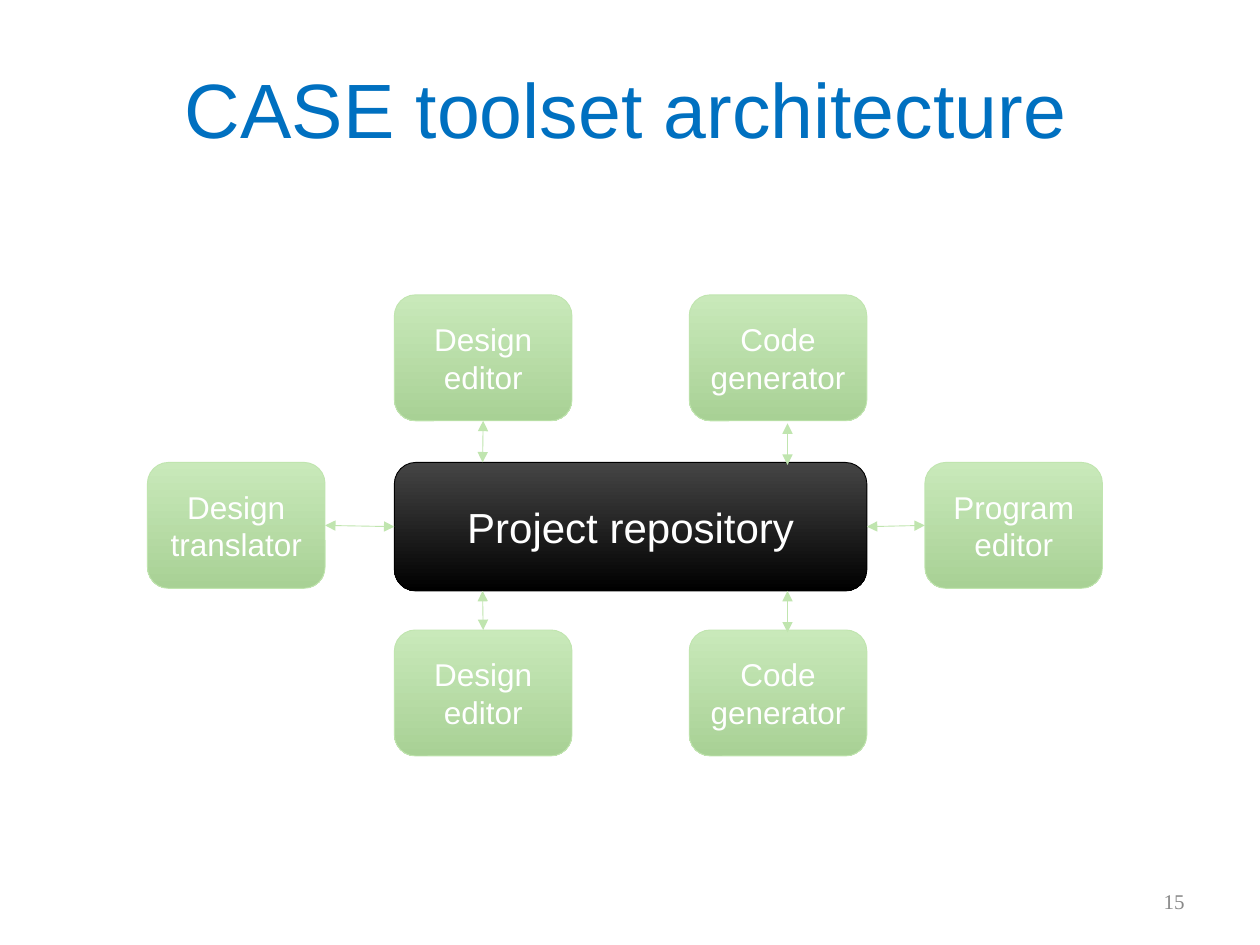
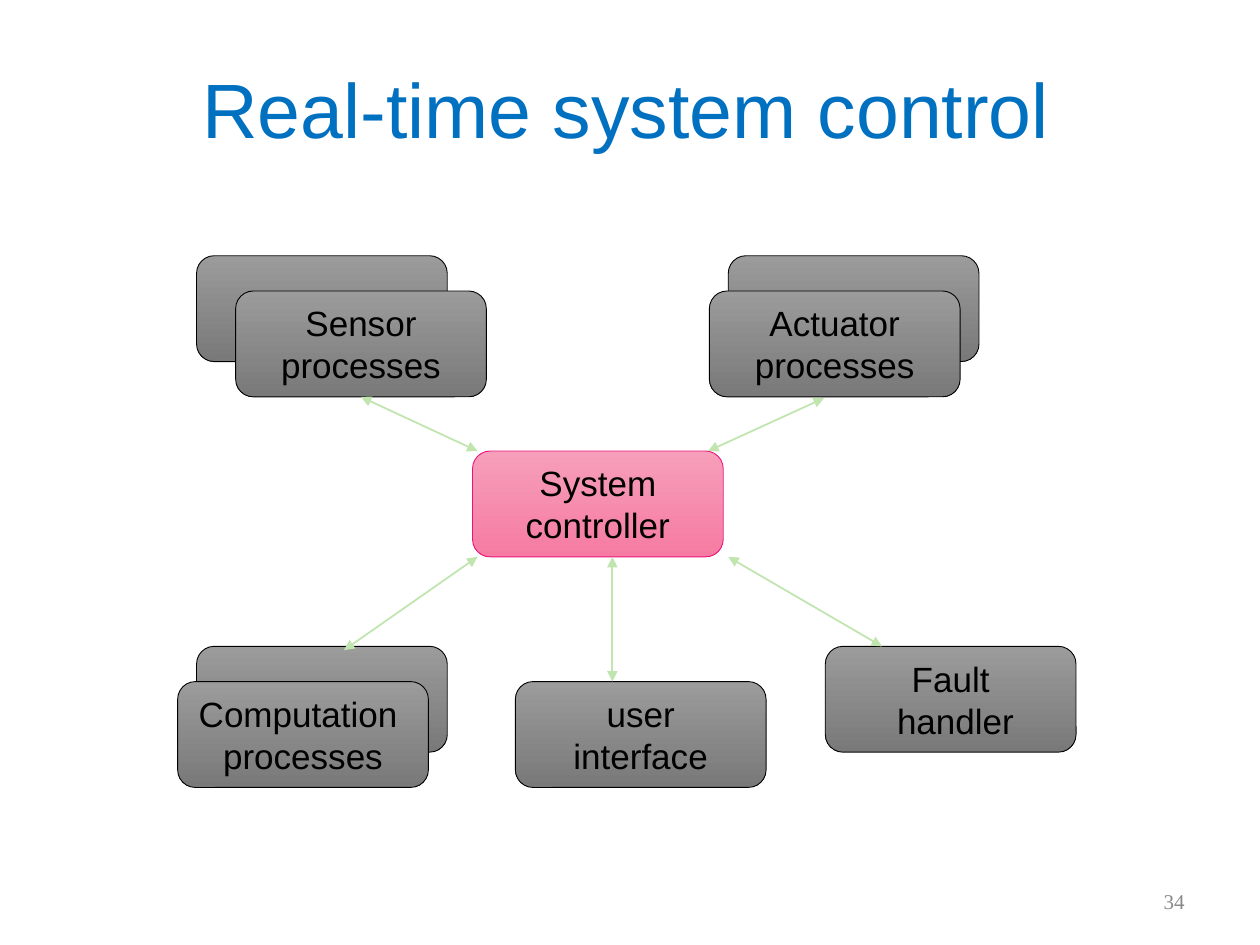
from lxml import etree
from pptx import Presentation
from pptx.dml.color import RGBColor
from pptx.enum.shapes import MSO_CONNECTOR, MSO_SHAPE
from pptx.enum.text import MSO_ANCHOR, PP_ALIGN
from pptx.oxml.ns import qn
from pptx.util import Inches, Pt

ROUNDED = MSO_SHAPE.ROUNDED_RECTANGLE
STRAIGHT = MSO_CONNECTOR.STRAIGHT
MIDDLE = MSO_ANCHOR.MIDDLE
CENTER, RIGHT = PP_ALIGN.CENTER, PP_ALIGN.RIGHT
TOP_SIDE, LEFT_SIDE, BOTTOM_SIDE, RIGHT_SIDE = range(4)

rgb = RGBColor.from_string
TITLE_BLUE = "0070C0"
NUMBER_GREY = "898989"
LINK_GREEN = "C0E5AF"

REPOSITORY = {"top": "454545", "bottom": "000000", "line": "000000", "text": "FFFFFF", "size": 24, "wrap": True}
TOOL = {"top": "C9E9BA", "bottom": "A8D195", "line": LINK_GREEN, "text": "FFFFFF", "size": 18, "wrap": True}
CONTROLLER = {"top": "F69EBA", "bottom": "F67BA3", "line": "EA157A", "text": "000000", "size": 20, "wrap": False}
PROCESS = {"top": "9B9B9B", "bottom": "797979", "line": "000000", "text": "000000", "size": 20, "wrap": False}


def add_box(slide, label, left, top, width, height, style):
    box = slide.shapes.add_shape(ROUNDED, Inches(left), Inches(top), Inches(width), Inches(height))
    box.shadow.inherit = False
    box.adjustments[0] = 0.167
    box.fill.gradient()
    box.fill.gradient_angle = 270
    for stop, key in zip(box.fill.gradient_stops, ("top", "bottom")):
        stop.color.rgb = rgb(style[key])
    box.line.color.rgb = rgb(style["line"])
    box.line.width = Pt(0.5)
    if label:
        frame = box.text_frame
        frame.text = label
        frame.word_wrap = style["wrap"]
        frame.vertical_anchor = MIDDLE
        for paragraph in frame.paragraphs:
            paragraph.alignment = CENTER
            paragraph.font.name = "Arial"
            paragraph.font.size = Pt(style["size"])
            paragraph.font.color.rgb = rgb(style["text"])
    return box


def add_link(slide, start, end, weight, start_joint=None, end_joint=None):
    link = slide.shapes.add_connector(STRAIGHT, *map(Inches, start + end))
    if start_joint:
        link.begin_connect(*start_joint)
    if end_joint:
        link.end_connect(*end_joint)
    link.line.color.rgb = rgb(LINK_GREEN)
    link.line.width = Pt(weight)
    for arrowhead in ("a:headEnd", "a:tailEnd"):
        etree.SubElement(link.line._get_or_add_ln(), qn(arrowhead), type="triangle")
    etree.SubElement(link._element.spPr, qn("a:effectLst"))


prs = Presentation()
prs.slide_width, prs.slide_height = Inches(10), Inches(7.5)

slides = []
for heading, page in (("CASE toolset architecture", "15"), ("Real-time system control", "34")):
    slide = prs.slides.add_slide(prs.slide_layouts[5])
    title = slide.shapes.title
    number = slide.shapes.add_textbox(Inches(7.17), Inches(6.95), Inches(2.33), Inches(0.4))
    title.left, title.top, title.width, title.height = map(Inches, (0.47, 0.23, 9, 1.25))
    for holder, text, align, font, size, color in (
        (title, heading, CENTER, "Arial", 44, TITLE_BLUE),
        (number, page, RIGHT, "Times New Roman", 12, NUMBER_GREY),
    ):
        frame = holder.text_frame
        frame.text = text
        frame.word_wrap = True
        frame.vertical_anchor = MIDDLE
        paragraph = frame.paragraphs[0]
        paragraph.alignment = align
        paragraph.font.name = font
        paragraph.font.size = Pt(size)
        paragraph.font.color.rgb = rgb(color)
    slides.append(slide)

toolset, control = slides

repository = add_box(toolset, "Project repository", 3.13, 3.67, 3.75, 1.02, REPOSITORY)
tools = {}
for place, label, left, top in (
    ("upper left", "Design editor", 3.13, 2.34),
    ("upper right", "Code generator", 5.47, 2.34),
    ("right", "Program editor", 7.34, 3.67),
    ("lower left", "Design editor", 3.13, 5),
    ("lower right", "Code generator", 5.47, 5),
    ("left", "Design translator", 1.17, 3.67),
):
    tools[place] = add_box(toolset, label, left, top, 1.41, 1, TOOL)

for start, end, start_joint, end_joint in (
    ((3.83, 3.34), (3.83, 3.67), (tools["upper left"], BOTTOM_SIDE), None),
    ((6.25, 3.36), (6.25, 3.69), None, None),
    ((3.83, 4.69), (3.83, 5), None, (tools["lower left"], TOP_SIDE)),
    ((6.25, 4.69), (6.25, 5.02), None, None),
    ((7.34, 4.17), (6.88, 4.18), (tools["right"], LEFT_SIDE), (repository, RIGHT_SIDE)),
    ((2.58, 4.17), (3.13, 4.18), (tools["left"], RIGHT_SIDE), (repository, LEFT_SIDE)),
):
    add_link(toolset, start, end, 0.5, start_joint, end_joint)

processes = {}
for label, left, top, style in (
    ("System\ncontroller", 3.75, 3.58, CONTROLLER),
    ("", 1.56, 5.13, PROCESS),
    ("", 5.78, 2.03, PROCESS),
    ("", 1.56, 2.03, PROCESS),
    ("user\ninterface", 4.09, 5.41, PROCESS),
    ("Sensor\nprocesses", 1.87, 2.31, PROCESS),
    ("Actuator\nprocesses", 5.63, 2.31, PROCESS),
    ("Computation \nprocesses", 1.41, 5.41, PROCESS),
    ("Fault\n handler", 6.55, 5.13, PROCESS),
):
    processes[label] = add_box(control, label, left, top, 1.99, 0.84, style)

for start, end, start_joint in (
    ((2.87, 3.15), (3.79, 3.58), (processes["Sensor\nprocesses"], BOTTOM_SIDE)),
    ((6.54, 3.16), (5.62, 3.58), None),
    ((2.73, 5.16), (3.79, 4.42), None),
    ((5.78, 4.42), (7, 5.13), None),
    ((4.86, 4.42), (4.86, 5.41), None),
):
    add_link(control, start, end, 1, start_joint)

prs.save("out.pptx")
